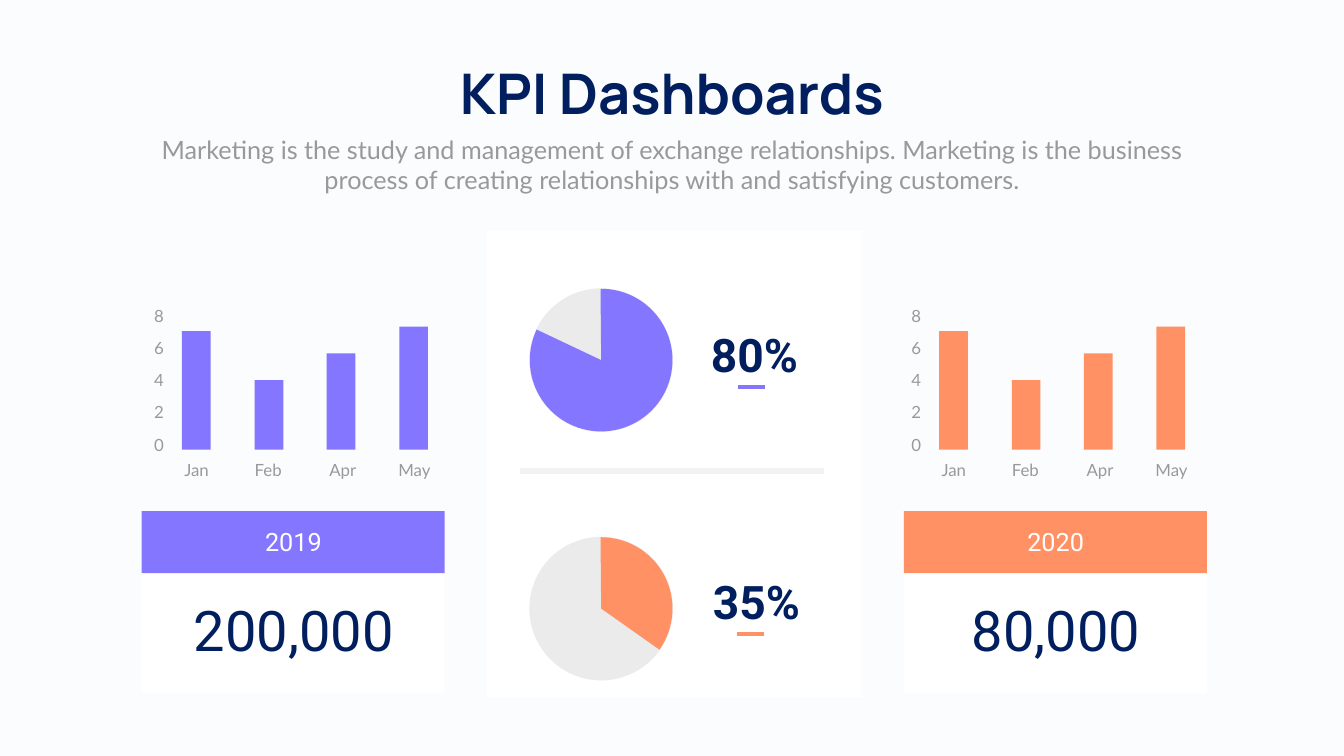
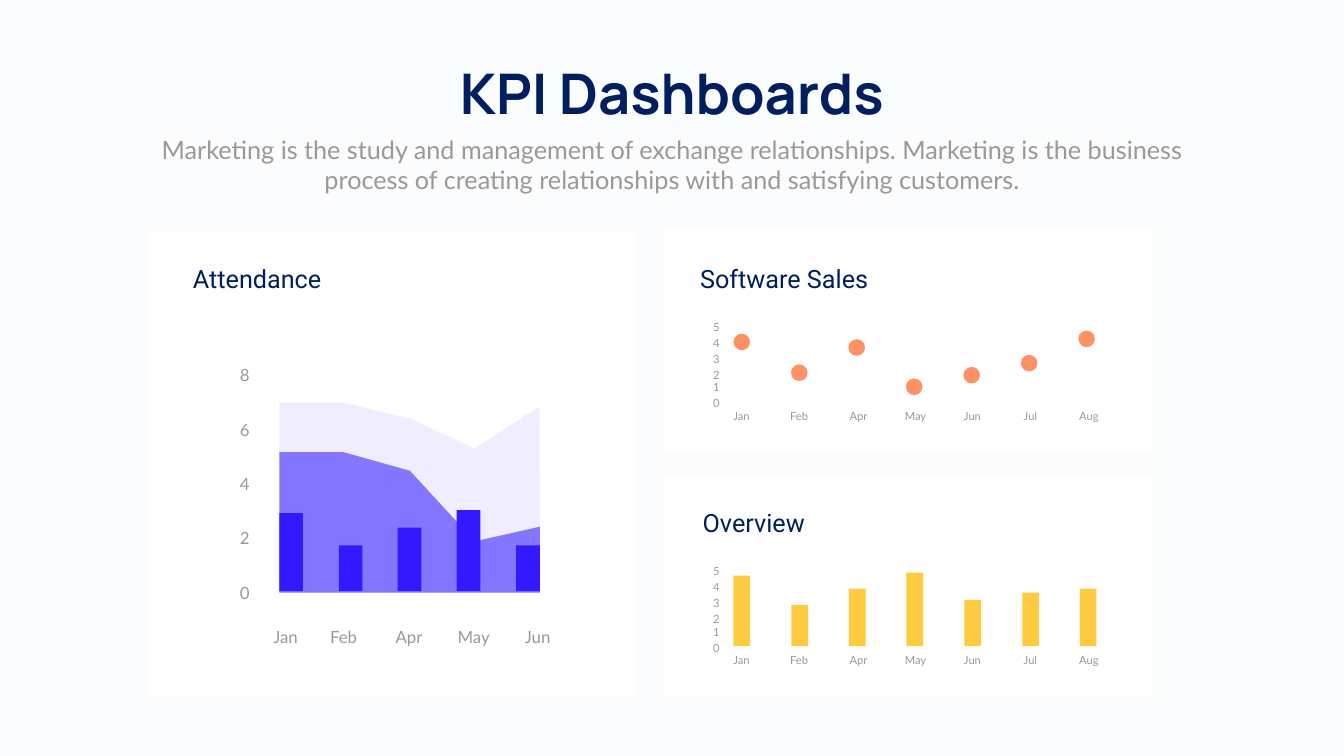
from dataclasses import dataclass

from lxml.etree import SubElement
from pptx import Presentation
from pptx.dml.color import RGBColor
from pptx.enum.shapes import MSO_CONNECTOR, MSO_SHAPE
from pptx.enum.text import MSO_ANCHOR, MSO_AUTO_SIZE, PP_ALIGN
from pptx.oxml.ns import qn
from pptx.util import Emu, Pt

EMU_PER_PX = 9144  # 100 px to the inch
BACKGROUND, WHITE, NAVY, GRAY = "FAFCFE", "FFFFFF", "011F5E", "999999"
PURPLE, ORANGE, YELLOW, BLUE = "8576FF", "FF9164", "FFCB41", "3219FF"
PALE_PURPLE, PIE_GRAY, RULE_GRAY = "E7E4FF", "EBEBEB", "F2F2F2"
TITLE = "KPI Dashboards"
SUBTITLE = (
    "Marketing is the study and management of exchange relationships. "
    "Marketing is the business process of creating relationships with "
    "and satisfying customers."
)
YEAR_CHART_SHIFT = 1502


@dataclass(frozen=True)
class Box:
    left: int
    top: int
    width: int
    height: int

    def emu(self) -> tuple:
        return tuple(px(n) for n in (self.left, self.top, self.width, self.height))


@dataclass(frozen=True)
class TextStyle:
    font: str
    size: int
    color: str
    align: PP_ALIGN = PP_ALIGN.CENTER
    bold: bool = False
    wrap: bool = True


@dataclass(frozen=True)
class Axes:
    """Value labels rise from zero_top; names are centred on name_centers."""
    value_box: Box  # place of the lowest value label
    values: tuple
    rises: tuple
    name_top: int
    name_width: int
    names: tuple
    name_centers: tuple
    size: int


@dataclass(frozen=True)
class Bars:
    left: int
    pitch: float
    width: int
    baseline: int
    heights: tuple
    color: str


@dataclass(frozen=True)
class YearCard:
    year: str
    total: str
    left: int
    chart_shift: int
    color: str


@dataclass(frozen=True)
class Share:
    text: str
    text_left: int
    text_top: int
    pie_top: int
    end_angle: float
    mark_left: int
    mark_top: int
    color: str


TITLE_STYLE = TextStyle("Manrope", 80, NAVY, bold=True, wrap=False)
SUBTITLE_STYLE = TextStyle("Lato", 36, GRAY)
YEAR_STYLE = TextStyle("Roboto", 36, WHITE)
TOTAL_STYLE = TextStyle("Roboto", 80, NAVY, wrap=False)
SHARE_STYLE = TextStyle("Roboto", 66, NAVY, bold=True, wrap=False)
HEADING_STYLE = TextStyle("Roboto", 36, NAVY, PP_ALIGN.LEFT)

YEAR_CARDS = (
    YearCard("2019", "200,000", 281, 0, PURPLE),
    YearCard("2020", "80,000", 1793, YEAR_CHART_SHIFT, ORANGE),
)
SHARES = (
    Share("80%", 1399, 643, 572, 123.2, 1464, 768, PURPLE),
    Share("35%", 1403, 1132, 1065, 21.12, 1462, 1258, ORANGE),
)
PANELS = (
    ("Attendance", Box(292, 457, 972, 927), Box(373, 517, 560, 71)),
    ("Software Sales", Box(1315, 455, 972, 443), Box(1379, 517, 560, 71)),
    ("Overview", Box(1315, 941, 972, 443), Box(1384, 1002, 560, 71)),
)
ATTENDANCE_AXES = Axes(
    Box(419, 1151, 86, 47), (0, 2, 4, 6, 8), tuple(range(0, 541, 108)),
    1238, 141, ("Jan", "Feb", "Apr", "May", "Jun"), (566, 681, 811, 939, 1066), 24,
)
ATTENDANCE_BARS = Bars(554, 117.5, 47, 1173, (155, 91, 126, 161, 91), BLUE)
TOTAL_AREA = ((554, 799), (681, 799), (815, 831), (941, 890), (1070, 807),
              (1071, 998), (1071, 1176), (554, 1176))
MEMBER_AREA = ((554, 897), (681, 897), (813, 934), (942, 1074), (1071, 1045),
               (1071, 1176), (554, 1176))
OVERVIEW_BARS = Bars(1455, 114.5, 33, 1282, (140, 82, 114, 146, 92, 106, 114), YELLOW)
SALES_TOPS = (662, 723, 673, 751, 728, 704, 656)


def px(length: float) -> Emu:
    return Emu(round(length * EMU_PER_PX))


def rgb(color: str) -> RGBColor:
    return RGBColor.from_string(color)


def write(frame, text: str, style: TextStyle) -> None:
    frame.word_wrap = style.wrap
    frame.vertical_anchor = MSO_ANCHOR.TOP
    paragraph = frame.paragraphs[0]
    paragraph.alignment = style.align
    paragraph.space_before = Pt(0)
    run = paragraph.add_run()
    run.text = text
    run.font.name = style.font
    run.font.size = Pt(style.size)
    run.font.bold = style.bold
    run.font.color.rgb = rgb(style.color)


def add_text(slide, box: Box, text: str, style: TextStyle) -> None:
    frame = slide.shapes.add_textbox(*box.emu()).text_frame
    frame.auto_size = MSO_AUTO_SIZE.SHAPE_TO_FIT_TEXT
    write(frame, text, style)


def paint(shape, color: str) -> None:
    shape.shadow.inherit = False
    shape.fill.solid()
    shape.fill.fore_color.rgb = rgb(color)
    shape.line.fill.background()


def add_shape(slide, box: Box, color: str, kind: MSO_SHAPE = MSO_SHAPE.RECTANGLE):
    shape = slide.shapes.add_shape(kind, *box.emu())
    paint(shape, color)
    return shape


def add_rule(slide, left: int, top: int, width: int, color: str, weight: int) -> None:
    connector = slide.shapes.add_connector(
        MSO_CONNECTOR.STRAIGHT, px(left), px(top), px(left + width), px(top))
    connector.line.color.rgb = rgb(color)
    connector.line.width = Pt(weight)
    SubElement(connector.element.spPr, qn("a:effectLst"))


def add_area(slide, points: tuple, color: str, opacity: int = 100) -> None:
    builder = slide.shapes.build_freeform(*points[0], scale=EMU_PER_PX)
    builder.add_line_segments(points[1:], close=True)
    shape = builder.convert_to_shape()
    paint(shape, color)
    if opacity < 100:
        fill_color = shape.element.spPr.find(qn("a:solidFill"))[0]
        SubElement(fill_color, qn("a:alpha"), val=str(opacity * 1000))


def add_axes(slide, axes: Axes) -> None:
    zero = axes.value_box
    value_style = TextStyle("Lato", axes.size, GRAY, PP_ALIGN.RIGHT)
    name_style = TextStyle("Lato", axes.size, GRAY)
    for value, rise in zip(axes.values, axes.rises):
        box = Box(zero.left, zero.top - rise, zero.width, zero.height)
        add_text(slide, box, str(value), value_style)
    for name, center in zip(axes.names, axes.name_centers):
        box = Box(center - axes.name_width // 2, axes.name_top, axes.name_width, zero.height)
        add_text(slide, box, name, name_style)


def add_bars(slide, bars: Bars) -> None:
    for index, height in enumerate(bars.heights):
        left = round(bars.left + index * bars.pitch)
        add_shape(slide, Box(left, bars.baseline - height, bars.width, height), bars.color)


def year_axes(shift: int) -> Axes:
    return Axes(
        Box(276 + shift, 857, 59, 50), (0, 2, 4, 6, 8), tuple(range(0, 257, 64)),
        908, 126, ("Jan", "Feb", "Apr", "May"),
        tuple(center + shift for center in (390, 532, 680, 822)), 24,
    )


def month_axes(zero_top: int) -> Axes:
    """Axes of the two small charts, which differ only in height on the slide."""
    return Axes(
        Box(1389, zero_top, 48, 37), tuple(range(6)), (0, 32, 57, 88, 120, 152),
        zero_top + 25, 98, ("Jan", "Feb", "Apr", "May", "Jun", "Jul", "Aug"),
        (1471, 1585, 1703, 1816, 1929, 2044, 2160), 16,
    )


def add_dashboard_slide(presentation):
    """Add a slide with the shared title and subtitle."""
    slide = presentation.slides.add_slide(presentation.slide_layouts[1])
    title, body = slide.shapes.title, slide.placeholders[1]
    properties = body.text_frame.paragraphs[0]._p.get_or_add_pPr()
    properties.set("marL", "0")
    properties.set("indent", "0")
    SubElement(properties, qn("a:buNone"))
    for placeholder, box, text, style in (
        (title, Box(867, 112, 932, 145), TITLE, TITLE_STYLE),
        (body, Box(292, 261, 2082, 131), SUBTITLE, SUBTITLE_STYLE),
    ):
        placeholder.left, placeholder.top, placeholder.width, placeholder.height = box.emu()
        placeholder.text_frame.auto_size = MSO_AUTO_SIZE.NONE
        write(placeholder.text_frame, text, style)
    return slide


def add_year_card(slide, card: YearCard) -> None:
    add_shape(slide, Box(card.left, 1014, 601, 362), WHITE)
    add_shape(slide, Box(card.left, 1014, 601, 123), card.color)
    add_text(slide, Box(card.left + 21, 1040, 560, 71), card.year, YEAR_STYLE)
    add_text(slide, Box(card.left + 84, 1177, 435, 145), card.total, TOTAL_STYLE)
    add_bars(slide, Bars(361 + card.chart_shift, 143.75, 57, 892,
                         (235, 138, 191, 244), card.color))
    add_axes(slide, year_axes(card.chart_shift))


def add_share(slide, share: Share) -> None:
    add_shape(slide, Box(1050, share.pie_top, 285, 285), PIE_GRAY, MSO_SHAPE.OVAL)
    pie = add_shape(slide, Box(1051, share.pie_top + 1, 283, 283), share.color, MSO_SHAPE.PIE)
    pie.adjustments[0] = 161.71
    pie.adjustments[1] = share.end_angle
    add_text(slide, Box(share.text_left, share.text_top, 195, 121), share.text, SHARE_STYLE)
    add_rule(slide, share.mark_left, share.mark_top, 53, share.color, 6)


def build_year_slide(presentation) -> None:
    slide = add_dashboard_slide(presentation)
    add_shape(slide, Box(966, 457, 744, 927), WHITE)
    for share in SHARES:
        add_share(slide, share)
    add_rule(slide, 1032, 934, 603, RULE_GRAY, 8)
    for card in YEAR_CARDS:
        add_year_card(slide, card)


def build_panel_slide(presentation) -> None:
    slide = add_dashboard_slide(presentation)
    for heading, panel, heading_box in PANELS:
        add_shape(slide, panel, WHITE)
        add_text(slide, heading_box, heading, HEADING_STYLE)

    add_axes(slide, ATTENDANCE_AXES)
    add_area(slide, TOTAL_AREA, PALE_PURPLE, opacity=64)
    add_area(slide, MEMBER_AREA, PURPLE)
    add_bars(slide, ATTENDANCE_BARS)

    add_bars(slide, OVERVIEW_BARS)
    add_axes(slide, month_axes(1267))

    add_axes(slide, month_axes(782))
    for index, top in enumerate(SALES_TOPS):
        add_shape(slide, Box(1455 + index * 114, top, 33, 33), ORANGE, MSO_SHAPE.OVAL)


def main() -> None:
    presentation = Presentation()
    presentation.slide_width, presentation.slide_height = px(2666), px(1500)
    background = presentation.slide_master.background.fill
    background.solid()
    background.fore_color.rgb = rgb(BACKGROUND)
    build_year_slide(presentation)
    build_panel_slide(presentation)
    presentation.save("out.pptx")


if __name__ == "__main__":
    main()
